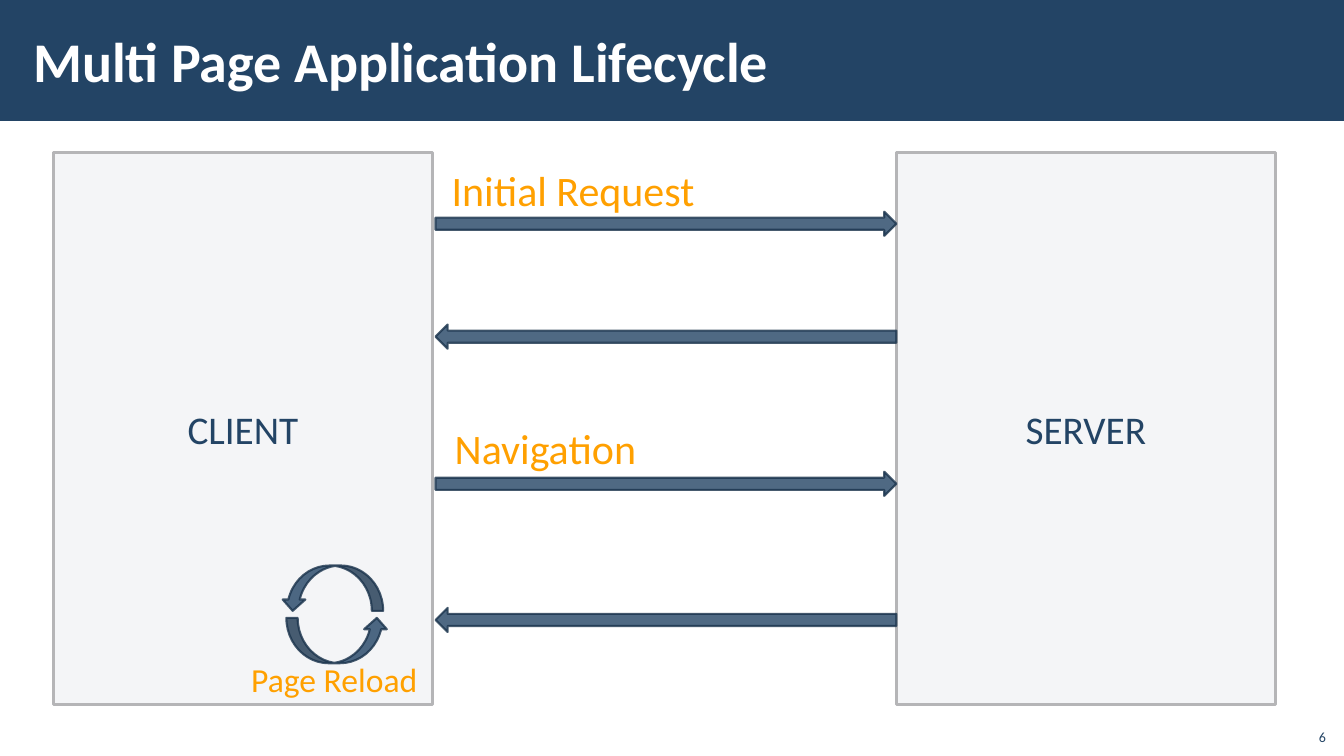
import pptx
import pptx.dml.color
import pptx.enum.shapes
import pptx.enum.text
import pptx.oxml.ns
import pptx.util
from lxml import etree

NAVY, DARK_NAVY, ORANGE, WHITE = "234465", "1A334C", "FFA000", "FFFFFF"
PANEL_FILL, PANEL_LINE = "F4F5F7", "B5B5B7"
SHAPES = pptx.enum.shapes.MSO_SHAPE
ALIGN = pptx.enum.text.PP_ALIGN
ANCHOR = pptx.enum.text.MSO_ANCHOR


def color(value):
    return pptx.dml.color.RGBColor.from_string(value)


class SlideBuilder:
    """Lengths are px, 100 to the inch."""

    EMU_PER_PX = 9144
    FONT = "Calibri"

    def __init__(self, presentation):
        self.slide = presentation.slides.add_slide(presentation.slide_layouts[6])

    def box(self, *lengths):
        return [length * self.EMU_PER_PX for length in lengths]

    def set_text(self, shape, text, size, fill, align, anchor, bold=False, wrap=True):
        frame = shape.text_frame
        for name, value in {"word_wrap": wrap, "vertical_anchor": anchor}.items():
            setattr(frame, name, value)
        paragraph = frame.paragraphs[0]
        paragraph.text = text
        paragraph.alignment = align
        font = paragraph.font
        style = {"name": self.FONT, "size": pptx.util.Pt(size), "bold": bold}
        for name, value in style.items():
            setattr(font, name, value)
        font.color.rgb = color(fill)

    def text(self, text, bounds, size, fill, align=ALIGN.CENTER,
             anchor=ANCHOR.TOP, bold=False, wrap=False, margins=None):
        shape = self.slide.shapes.add_textbox(*self.box(*bounds))
        self.set_text(shape, text, size, fill, align, anchor, bold, wrap)
        for name, value in (margins or {}).items():
            setattr(shape.text_frame, name, value * self.EMU_PER_PX)

    def shape(self, kind, bounds, fill, line=None, width=0):
        shape = self.slide.shapes.add_shape(kind, *self.box(*bounds))
        shape.shadow.inherit = False
        shape.fill.solid()
        shape.fill.fore_color.rgb = color(fill)
        if line:
            shape.line.color.rgb = color(line)
            shape.line.width = pptx.util.Pt(width)
        else:
            shape.line.fill.background()
        return shape

    def panel(self, label, bounds):
        shape = self.shape(SHAPES.RECTANGLE, bounds, PANEL_FILL, PANEL_LINE, 2)
        self.set_text(shape, label, 28, NAVY, ALIGN.CENTER, ANCHOR.MIDDLE)

    def arrow(self, kind, bounds, rotation=0):
        shape = self.shape(kind, bounds, NAVY, DARK_NAVY, 1.5)
        shape.rotation = rotation
        # Fill and outline are 80 % opaque
        for element in shape.element.spPr.iter(pptx.oxml.ns.qn("a:srgbClr")):
            etree.SubElement(element, pptx.oxml.ns.qn("a:alpha"), val="80000")


def main():
    presentation = pptx.Presentation()
    presentation.slide_width = pptx.util.Inches(13.33)
    presentation.slide_height = pptx.util.Inches(7.5)
    builder = SlideBuilder(presentation)

    # Header and slide number
    builder.shape(SHAPES.RECTANGLE, (0, 0, 1334, 120), NAVY)
    builder.text("6", (1285, 712, 40, 32), 10, NAVY, ALIGN.RIGHT, ANCHOR.BOTTOM, wrap=True)
    builder.text("Multi Page Application Lifecycle", (21, 11, 1063, 97), 40, WHITE,
                 ALIGN.LEFT, ANCHOR.MIDDLE, bold=True, wrap=True,
                 margins={"margin_left": 12, "margin_right": 12,
                          "margin_top": 4, "margin_bottom": 4})

    # Client and server
    for label, left in (("CLIENT", 53), ("SERVER", 889)):
        builder.panel(label, (left, 151, 376, 548))

    # Requests go right, responses go left
    for top, rotation in ((210, 0), (468, 0), (322, 180), (603, 180)):
        builder.arrow(SHAPES.RIGHT_ARROW, (432, top, 457, 24), rotation)

    # Reload cycle
    for left, top, rotation in ((279, 561, 180), (284, 613, 0)):
        builder.arrow(SHAPES.CURVED_UP_ARROW, (left, top, 101, 45), rotation)

    # Step labels
    for label, bounds, size in (
        ("Initial Request", (437, 158, 263, 61), 30),
        ("Navigation", (440, 414, 202, 61), 30),
        ("Page Reload", (238, 649, 187, 50), 24),
    ):
        builder.text(label, bounds, size, ORANGE)

    presentation.save("out.pptx")


if __name__ == "__main__":
    main()
